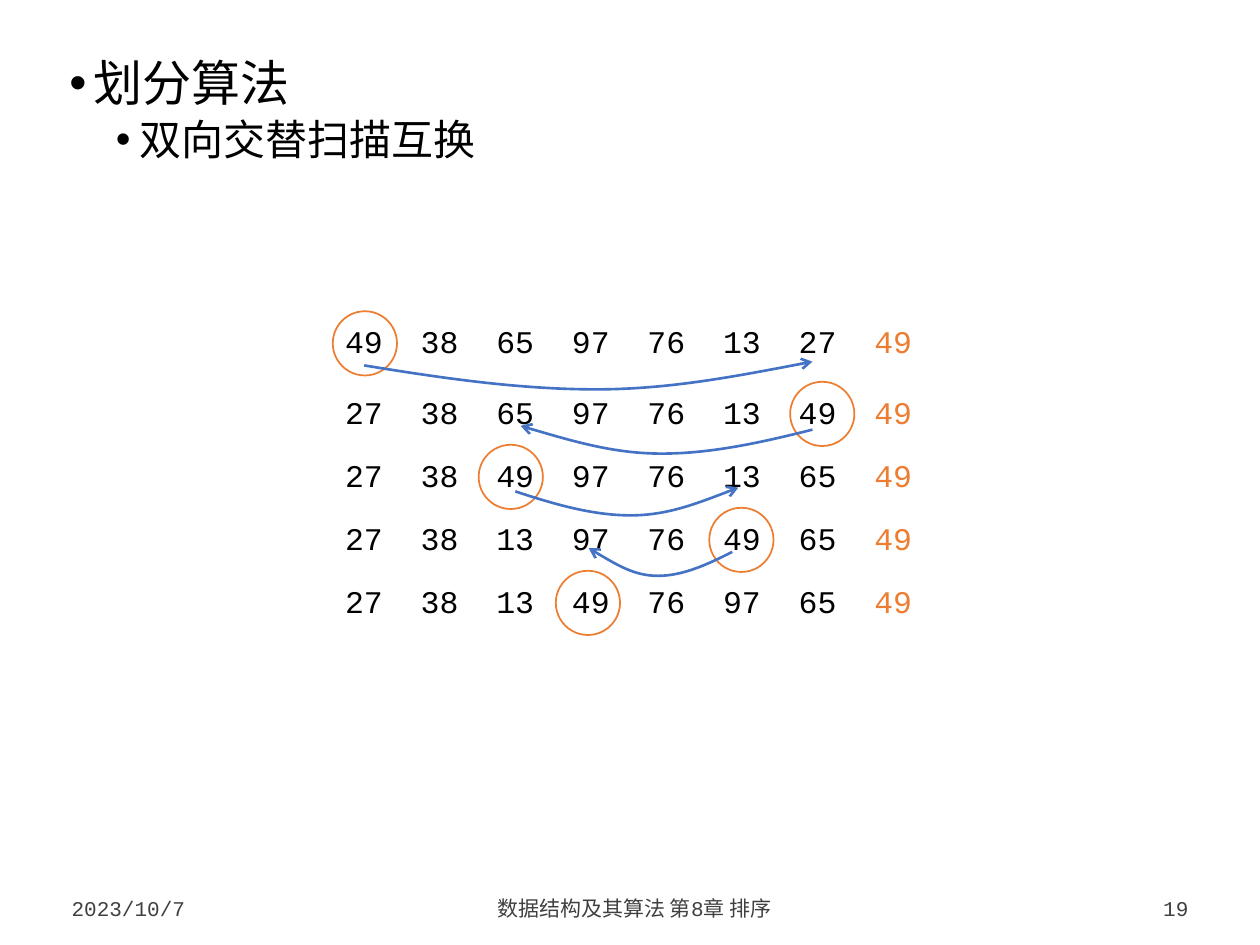
from dataclasses import dataclass
from typing import Any, Optional

from lxml import etree
from pptx import Presentation
from pptx.dml.color import RGBColor
from pptx.enum.shapes import MSO_SHAPE
from pptx.enum.text import MSO_ANCHOR, MSO_AUTO_SIZE, PP_ALIGN
from pptx.oxml.ns import qn
from pptx.util import Emu, Inches, Pt

OVAL = MSO_SHAPE.OVAL
TOP, BOTTOM = MSO_ANCHOR.TOP, MSO_ANCHOR.BOTTOM
LEFT, CENTER, RIGHT = PP_ALIGN.LEFT, PP_ALIGN.CENTER, PP_ALIGN.RIGHT
NO_AUTOFIT = MSO_AUTO_SIZE.NONE


@dataclass(frozen=True)
class Theme:
    font: str = "Courier New"
    ink: str = "000000"
    muted: str = "404040"
    accent: str = "ED7D31"
    arrow: str = "4472C4"
    heading_size: float = 28
    subheading_size: float = 24
    number_size: float = 18
    footer_size: float = 12


@dataclass(frozen=True)
class Grid:
    """Columns start at the first digit, rows at the top of a text line."""
    left: float = 2.74
    top: float = 2.57
    column: float = 0.6
    row: float = 0.5

    def x(self, column: float) -> float:
        return self.left + column * self.column

    def y(self, row: float) -> float:
        return self.top + row * self.row


@dataclass(frozen=True)
class Swap:
    """The pivot moves between columns; end_row is where the arrow ends."""
    start: float
    end: float
    end_row: float


@dataclass(frozen=True)
class Scan:
    row: float
    numbers: str
    pivot: float
    swap: Optional[Swap] = None


@dataclass(frozen=True)
class Bullet:
    text: str
    level: int
    size: float
    margin: float
    before: float


@dataclass(frozen=True)
class FooterItem:
    text: str
    left: float
    width: float
    alignment: Any


THEME = Theme()
GRID = Grid()
CIRCLE = 0.51
LINE_HEIGHT = 0.4
CURVE_DEPTH = 0.22
CURVE_TURN = 0.517

BULLETS = (
    Bullet("划分算法", 0, THEME.heading_size, 0.19, 0),
    Bullet("双向交替扫描互换", 1, THEME.subheading_size, 0.56, 3.8),
)
SCANS = (
    Scan(-0.12, "49 38 65 97 76 13 27 49", 0.26, Swap(0.25, 6.18, 0.6)),
    Scan(1, "27 38 65 97 76 13 49 49", 6.31, Swap(6.18, 2.32, 1.62)),
    Scan(2, "27 38 49 97 76 13 65 49", 2.19, Swap(2.25, 5.2, 2.6)),
    Scan(3, "27 38 13 97 76 49 65 49", 5.24, Swap(5.12, 3.22, 3.56)),
    Scan(4, "27 38 13 49 76 97 65 49", 3.21),
)
FOOTER = (
    FooterItem("2023/10/7", 0.47, 1.25, LEFT),
    FooterItem("数据结构及其算法 第8章 排序", 1.84, 6.39, CENTER),
    FooterItem("19", 8.35, 1.18, RIGHT),
)


def apply(target: Any, values: dict[str, Any]) -> None:
    for name, value in values.items():
        setattr(target, name, value)


def add_span(para: Any, text: str, size: float, color: str) -> None:
    span = para.add_run()
    span.text = text
    apply(span.font, {"name": THEME.font, "size": Pt(size)})
    span.font.color.rgb = RGBColor.from_string(color)


def fill_body(body: Any) -> None:
    apply(body, {"left": Inches(0.47), "top": Inches(0.39),
                 "width": Inches(9.06), "height": Inches(6.42)})
    inset = Inches(0.08)
    frame = body.text_frame
    apply(frame, {"margin_left": inset, "margin_right": inset,
                  "margin_top": inset, "margin_bottom": inset,
                  "vertical_anchor": TOP, "auto_size": NO_AUTOFIT})
    for index, bullet in enumerate(BULLETS):
        para = frame.add_paragraph() if index else frame.paragraphs[0]
        properties = para._p.get_or_add_pPr()
        properties.set("marL", str(Inches(bullet.margin)))
        properties.set("indent", str(Inches(-0.19)))
        etree.SubElement(properties, qn("a:buFont")).set("typeface", "Arial")
        etree.SubElement(properties, qn("a:buChar")).set("char", "•")
        apply(para, {"level": bullet.level, "line_spacing": 0.9,
                     "space_before": Pt(bullet.before)})
        add_span(para, bullet.text, bullet.size, THEME.ink)


def add_numbers(page: Any, scan: Scan) -> None:
    box = page.shapes.add_textbox(Inches(GRID.left - 0.1), Inches(GRID.y(scan.row)),
                                  Inches(4.72), Inches(LINE_HEIGHT))
    apply(box.text_frame, {"word_wrap": True, "margin_right": 0})
    para = box.text_frame.paragraphs[0]
    numbers = scan.numbers.split()
    tabs = etree.SubElement(para._p.get_or_add_pPr(), qn("a:tabLst"))
    for column in range(1, len(numbers)):
        tab = etree.SubElement(tabs, qn("a:tab"))
        tab.set("pos", str(Inches(column * GRID.column)))
        tab.set("algn", "l")
    add_span(para, "\t".join(numbers[:-1]) + "\t", THEME.number_size, THEME.ink)
    add_span(para, numbers[-1], THEME.number_size, THEME.accent)


def add_pivot_circle(page: Any, scan: Scan) -> None:
    circle = page.shapes.add_shape(
        OVAL, Inches(GRID.x(scan.pivot) - CIRCLE / 2), Inches(GRID.y(scan.row) - 0.04),
        Inches(CIRCLE), Inches(CIRCLE))
    circle.shadow.inherit = False
    circle.fill.background()
    circle.line.color.rgb = RGBColor.from_string(THEME.accent)
    circle.line.width = Pt(1)


def add_swap_arrow(page: Any, swap: Swap) -> None:
    """Two cubic curves that meet at the lowest point, with an open arrowhead."""
    start, end, top = GRID.x(swap.start), GRID.x(swap.end), GRID.y(swap.end_row)
    turn = start + CURVE_TURN * (end - start)
    first, second = (turn - start) / 3, (end - turn) / 3
    low = top + CURVE_DEPTH
    points = ((start + first, top + 0.13), (start + 2 * first, low), (turn, low),
              (turn + second, low), (turn + 2 * second, top + 0.11), (end, top))
    builder = page.shapes.build_freeform(Inches(start), Inches(top + 0.03))
    builder.add_line_segments([(Inches(x), Inches(y)) for x, y in points], close=False)
    curve = builder.convert_to_shape(Emu(0), Emu(0))
    outline = curve._element.find(".//" + qn("a:path"))
    segments = outline.findall(qn("a:lnTo"))
    for first_index in range(0, len(segments), 3):
        cubic = etree.SubElement(outline, qn("a:cubicBezTo"))
        for segment in segments[first_index:first_index + 3]:
            cubic.append(segment[0])
            outline.remove(segment)
    curve.shadow.inherit = False
    curve.fill.background()
    curve.line.color.rgb = RGBColor.from_string(THEME.arrow)
    curve.line.width = Pt(1.5)
    etree.SubElement(curve.line._get_or_add_ln(), qn("a:tailEnd")).set("type", "arrow")


def add_footer_item(page: Any, item: FooterItem) -> None:
    box = page.shapes.add_textbox(Inches(item.left), Inches(6.97),
                                  Inches(item.width), Inches(0.39))
    apply(box.text_frame, {"word_wrap": True, "vertical_anchor": BOTTOM})
    para = box.text_frame.paragraphs[0]
    para.alignment = item.alignment
    add_span(para, item.text, THEME.footer_size, THEME.muted)


def main() -> None:
    deck = Presentation()
    apply(deck, {"slide_width": Inches(10), "slide_height": Inches(7.5)})
    page = deck.slides.add_slide(deck.slide_layouts[1])
    title = page.shapes.title._element
    title.getparent().remove(title)
    fill_body(page.placeholders[1])
    for item in FOOTER:
        add_footer_item(page, item)
    for scan in SCANS:
        add_numbers(page, scan)
        add_pivot_circle(page, scan)
        if scan.swap:
            add_swap_arrow(page, scan.swap)
    deck.save("out.pptx")


if __name__ == "__main__":
    main()
